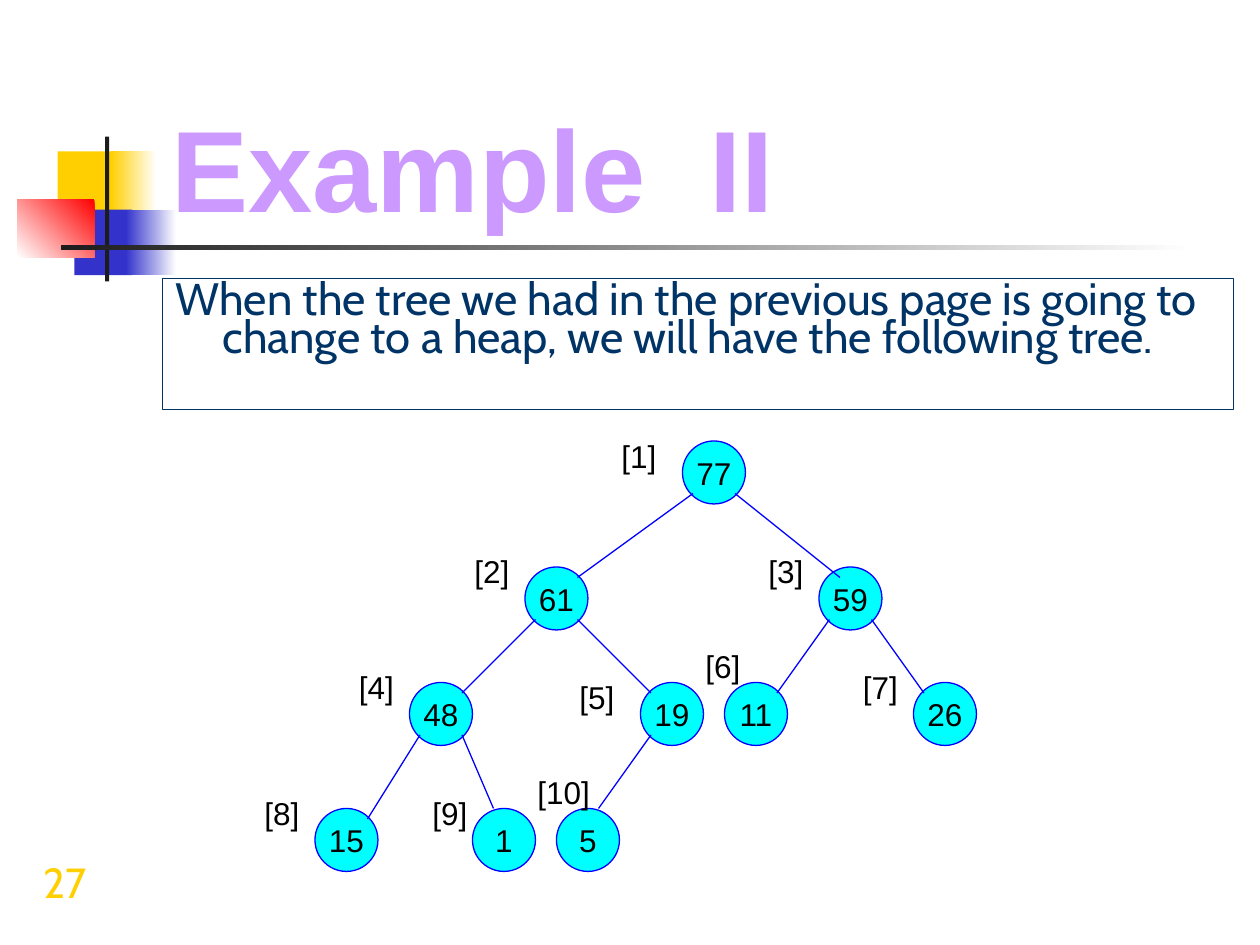
import pptx
import pptx.util
import pptx.dml.color
import pptx.enum.shapes
import pptx.enum.text
import pptx.oxml.ns
import lxml.etree

Pt = pptx.util.Pt
RGB = pptx.dml.color.RGBColor
KIND = pptx.enum.shapes.MSO_SHAPE
ALIGN = pptx.enum.text.PP_ALIGN
ANCHOR = pptx.enum.text.MSO_ANCHOR
FIT = pptx.enum.text.MSO_AUTO_SIZE
qn = pptx.oxml.ns.qn

WHITE = RGB(0xFF, 0xFF, 0xFF)
BLACK = RGB(0, 0, 0)
INK = RGB(0x1C, 0x1C, 0x1C)
GOLD = RGB(0xFF, 0xCF, 0x01)
INDIGO = RGB(0x33, 0x33, 0xCC)
RED = RGB(0xFF, 0, 0)
LILAC = RGB(0xCC, 0x99, 0xFF)
NAVY = RGB(0, 0x33, 0x66)
CYAN = RGB(0, 0xFF, 0xFF)
BLUE = RGB(0, 0, 0xFF)


def place(shape, left, top, width, height):
    shape.left, shape.top = Pt(left), Pt(top)
    shape.width, shape.height = Pt(width), Pt(height)


def write(shape, text, size, color, face="Arial", bold=False):
    shape.text_frame.auto_size = FIT.NONE
    run = shape.text_frame.paragraphs[0].add_run()
    run.text = text
    font = run.font
    font.size, font.name, font.bold = Pt(size), face, bold
    font.color.rgb = color


deck = pptx.Presentation()
deck.slide_width, deck.slide_height = Pt(720), Pt(540)
slide = deck.slides.add_slide(deck.slide_layouts[1])
shapes = slide.shapes

# Corner ornament and rule: box, gradient start, gradient end, angle
decor = [
    ((33, 86.5, 34.5, 37.5), GOLD, None, 0),
    ((63.3, 86.5, 26, 37.5), WHITE, GOLD, 180),
    ((42.5, 119.8, 33, 37.5), INDIGO, None, 0),
    ((72, 119.8, 28.8, 37.5), WHITE, INDIGO, 180),
    ((10, 113.8, 44, 33.2), RED, WHITE, 225),
    ((60, 78, 2.4, 82.8), INK, None, 0),
    ((34.7, 140.2, 648, 2.4), WHITE, INK, 180),
]
for box, first, last, angle in decor:
    block = shapes.add_shape(KIND.RECTANGLE, *map(Pt, box))
    block.shadow.inherit = False
    block.line.fill.background()
    if last is None:
        block.fill.solid()
        block.fill.fore_color.rgb = first
    else:
        block.fill.gradient()
        block.fill.gradient_angle = angle
        for stop, color in zip(block.fill.gradient_stops, (first, last)):
            stop.color.rgb = color

# Title, brought in front of the ornament
title = shapes.title
shapes.element.append(title.element)
place(title, 90.7, 48.2, 613.4, 90)
write(title, "Example  II", 66, LILAC, bold=True)
title.text_frame.vertical_anchor = ANCHOR.BOTTOM
title.text_frame.paragraphs[0].alignment = ALIGN.LEFT

# Framed body text with a hanging indent
body = slide.placeholders[1]
shapes.element.append(body.element)
place(body, 93, 159, 612, 75)
body.line.color.rgb = NAVY
body.line.width = Pt(0.75)
para = body.text_frame.paragraphs[0]
para.line_spacing = 0.7
para.space_before = Pt(0)
props = para._p.get_or_add_pPr()
props.set("marL", str(Pt(27)))
props.set("indent", str(Pt(-27)))
lxml.etree.SubElement(props, qn("a:buNone"))
write(body, "When the tree we had in the previous page is going to change "
      "to a heap, we will have the following tree.", 25.9, NAVY, "Cabin")

# Heap in array order: value, centre x, label left, label top, label width
heap = [
    (77, 408, 348, 246, 36),
    (61, 318, 264, 312, 36),
    (59, 486, 432, 312, 36),
    (48, 252, 198, 378, 43),
    (19, 384, 324, 384, 36),
    (11, 432, 396, 366, 36),
    (26, 540, 486, 378, 36),
    (15, 198, 144, 450, 42),
    (1, 288, 240, 450, 36),
    (5, 336, 300, 438, 48),
]
rows = [270, 342, 408, 480]
radius = 18
spots = {}
for num, (value, x, *rest) in enumerate(heap, 1):
    y = rows[num.bit_length() - 1]
    spots[num] = x, y
    node = shapes.add_shape(KIND.OVAL, Pt(x - radius), Pt(y - radius),
                            Pt(2 * radius), Pt(2 * radius))
    node.shadow.inherit = False
    node.fill.solid()
    node.fill.fore_color.rgb = CYAN
    node.line.color.rgb = BLUE
    node.line.width = Pt(0.75)
    node.text_frame.word_wrap = False
    node.text_frame.vertical_anchor = ANCHOR.MIDDLE
    node.text_frame.paragraphs[0].alignment = ALIGN.CENTER
    write(node, str(value), 18, BLACK)

# Edges: the parent of node n is n // 2, and even nodes are left children
ends = {3: (6, 12), 9: (6, 18), 10: (6, 18)}
for num in range(2, len(heap) + 1):
    side = -1 if num % 2 == 0 else 1
    (px, py), (cx, cy) = spots[num // 2], spots[num]
    dx, dy = ends.get(num, (12, 12))
    edge = shapes.add_connector(
        pptx.enum.shapes.MSO_CONNECTOR.STRAIGHT,
        Pt(px + side * 12), Pt(py + 12), Pt(cx - side * dx), Pt(cy - dy))
    edge.line.color.rgb = BLUE
    edge.line.width = Pt(0.75)
    lxml.etree.SubElement(edge.element.spPr, qn("a:effectLst"))

# Index labels
for num, (value, x, left, top, width) in enumerate(heap, 1):
    label = shapes.add_textbox(Pt(left), Pt(top), Pt(width), Pt(29))
    label.text_frame.word_wrap = True
    write(label, f"[{num}]", 18, BLACK)

# Page number
page = shapes.add_textbox(Pt(18), Pt(486), Pt(42), Pt(36))
page.text_frame.word_wrap = True
write(page, "27", 24, GOLD, "Cabin")

deck.save("out.pptx")
